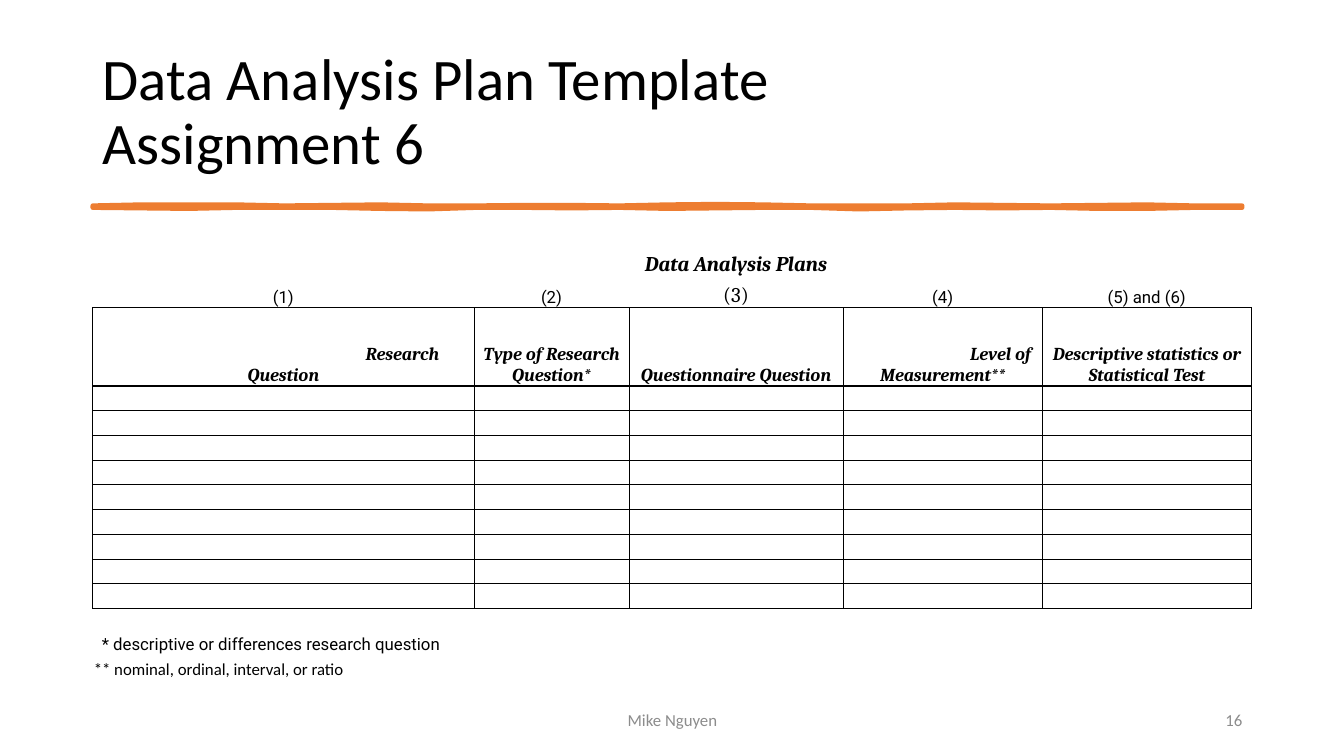
"""Build the data analysis plan template slide."""
from dataclasses import dataclass

from lxml import etree
from pptx import Presentation
from pptx.dml.color import RGBColor
from pptx.enum.text import MSO_ANCHOR, PP_ALIGN
from pptx.oxml.ns import qn
from pptx.util import Inches, Pt

LEFT, CENTER, RIGHT = PP_ALIGN.LEFT, PP_ALIGN.CENTER, PP_ALIGN.RIGHT
MIDDLE, BOTTOM = MSO_ANCHOR.MIDDLE, MSO_ANCHOR.BOTTOM

SLIDE_W, SLIDE_H = 13.33, 7.5
MARGIN, CONTENT_W = 0.92, 11.5
COLUMNS = [3.78, 1.54, 2.12, 1.98, 2.07]
CAPTION, NUMBERS, SPACER, HEADER, GAP, NOTES = 0, 1, 2, 3, 13, 14
ROWS = [0.3, 0.3, 0.3, 0.48] + [0.245] * 9 + [0.21, 0.25, 0.25]


@dataclass(frozen=True)
class Theme:
    """Colours, fonts and type sizes of the slide."""
    ink: str = "000000"
    accent: str = "ED7D31"
    muted: str = "8C8C8C"
    body: str = "Calibri"
    serif: str = "Cambria"
    sans: str = "Roboto"
    title: float = 42
    caption: float = 15
    header: float = 13
    small: float = 12
    thin: float = 0.5
    thick: float = 1.5
    brush: float = 3.25


T = Theme()
NUMBER_CELLS = [("(1)", T.sans, T.small), ("(2)", T.sans, T.small),
                ("(3)", T.serif, T.caption), ("(4)", T.sans, T.small),
                ("(5) and (6)", T.sans, T.small)]
HEADER_CELLS = [("Research Question", 2.36), ("Type of Research Question*", 0),
                ("Questionnaire Question", 0), ("Level of Measurement**", 1.15),
                ("Descriptive statistics or Statistical Test", 0)]
NOTE_CELLS = [("* descriptive or differences research question", T.sans, 0.08),
              ("** nominal, ordinal, interval, or ratio", T.body, 0)]
BRUSH_TOP = [4, 3, 3, 3, 4, 3.5, 3, 4, 4, 3.5, 3.5, 4, 3, 2.5, 3,
             4, 4, 4, 3, 3.5, 4, 3.5, 3, 4, 4]
BRUSH_BOTTOM = [6, 6.5, 7, 6, 6, 6, 7, 7.5, 6, 6, 6.5, 6, 7, 6.5, 6,
                6, 7.5, 6.5, 6, 6.5, 6, 7, 7, 6, 6]


def add_run(p, text, font, size, color=T.ink, bold=False):
    """Append a styled run; bold text is also italic."""
    r = p.add_run()
    r.text = text
    r.font.name, r.font.size = font, Pt(size)
    r.font.bold = r.font.italic = bold
    r.font.color.rgb = RGBColor.from_string(color)


def add_textbox(s, x, y, w, h, lines, size, color, align):
    """Add a middle-anchored box of lines parted by line breaks."""
    tf = s.shapes.add_textbox(*map(Inches, (x, y, w, h))).text_frame
    tf.word_wrap, tf.vertical_anchor = True, MIDDLE
    p = tf.paragraphs[0]
    p.alignment, p.line_spacing = align, 0.9
    for i, line in enumerate(lines):
        if i:
            p.add_line_break()
        add_run(p, line, T.body, size, color)


def add_brush_rule(s):
    """Draw the uneven brush stroke under the title."""
    step = (CONTENT_W - 0.1) / (len(BRUSH_TOP) - 1)

    def edge(offsets):
        """Place hundredths of an inch along the stroke."""
        return [(Inches(MARGIN + i * step), Inches(2 + dy / 100))
                for i, dy in enumerate(offsets)]

    outline = edge(BRUSH_TOP) + edge(BRUSH_BOTTOM)[::-1]
    builder = s.shapes.build_freeform(*outline[0])
    builder.add_line_segments(outline[1:], close=True)
    sp = builder.convert_to_shape()
    sp.shadow.inherit = False
    sp.fill.solid()
    sp.fill.fore_color.rgb = RGBColor.from_string(T.accent)
    sp.line.color.rgb = RGBColor.from_string(T.accent)
    sp.line.width = Pt(T.brush)


def row_borders(row):
    """Give the left, right, top and bottom line widths of a row."""
    side = T.thin if SPACER <= row < GAP else 0
    rules = {SPACER: T.thin, HEADER: 0, HEADER + 1: T.thick}

    def rule(i):
        """Give the width of the line above row i."""
        return rules.get(i, T.thin if SPACER <= i <= GAP else 0)

    return {"lnL": side, "lnR": side, "lnT": rule(row), "lnB": rule(row + 1)}


def format_cell(cell, row):
    """Clear the fill, tighten the insets and draw the borders."""
    cell.margin_left = cell.margin_right = cell.margin_top = Inches(0.01)
    cell.margin_bottom = 0
    tcPr = cell._tc.get_or_add_tcPr()
    for tag, width in row_borders(row).items():
        ln = etree.SubElement(tcPr, qn(f"a:{tag}"), w=str(Pt(width)))
        if width:
            fill = etree.SubElement(ln, qn("a:solidFill"))
            etree.SubElement(fill, qn("a:srgbClr"), val=T.ink)
        else:
            etree.SubElement(ln, qn("a:noFill"))
    cell.fill.background()
    p = cell.text_frame.paragraphs[0]
    etree.SubElement(p._p, qn("a:endParaRPr"), sz=str(T.small * 100))


def write_cell(cell, text, font, size, bold=False, align=CENTER,
               indent=0, margin=0):
    """Write one bottom-anchored run with optional indents."""
    cell.vertical_anchor = BOTTOM
    p = cell.text_frame.paragraphs[0]
    p.alignment = align
    pPr = p._p.get_or_add_pPr()
    pPr.set("marL", str(Inches(margin)))
    pPr.set("indent", str(Inches(indent)))
    add_run(p, text, font, size, bold=bold)


def add_plan_table(s):
    """Add the plan grid with its caption, headers and notes."""
    frame = s.shapes.add_table(len(ROWS), len(COLUMNS), *map(
        Inches, (MARGIN, 2.45, sum(COLUMNS), sum(ROWS))))
    table = frame.table
    table.first_row = table.horz_banding = False
    for column, width in zip(table.columns, COLUMNS):
        column.width = Inches(width)
    for i, (row, height) in enumerate(zip(table.rows, ROWS)):
        row.height = Inches(height)
        for cell in row.cells:
            format_cell(cell, i)
    write_cell(table.cell(CAPTION, 2), "Data Analysis Plans",
               T.serif, T.caption, bold=True)
    for c, (text, font, size) in enumerate(NUMBER_CELLS):
        write_cell(table.cell(NUMBERS, c), text, font, size)
    for c, (text, indent) in enumerate(HEADER_CELLS):
        write_cell(table.cell(HEADER, c), text, T.serif, T.header,
                   bold=True, indent=indent)
    for i, (text, font, margin) in enumerate(NOTE_CELLS):
        cell = table.cell(NOTES + i, 0)
        cell.merge(table.cell(NOTES + i, 1))
        write_cell(cell, text, font, T.small, align=LEFT, margin=margin)


def main():
    """Build and save the slide."""
    prs = Presentation()
    prs.slide_width, prs.slide_height = Inches(SLIDE_W), Inches(SLIDE_H)
    s = prs.slides.add_slide(prs.slide_layouts[6])
    add_textbox(s, MARGIN, 0.4, CONTENT_W, 1.45,
                ["Data Analysis Plan Template", "Assignment 6"],
                T.title, T.ink, LEFT)
    add_brush_rule(s)
    add_textbox(s, 4.42, 6.95, 4.5, 0.4, ["Mike Nguyen"],
                T.small, T.muted, CENTER)
    add_textbox(s, 9.42, 6.95, 3, 0.4, ["16"], T.small, T.muted, RIGHT)
    add_plan_table(s)
    prs.save("out.pptx")


if __name__ == "__main__":
    main()
